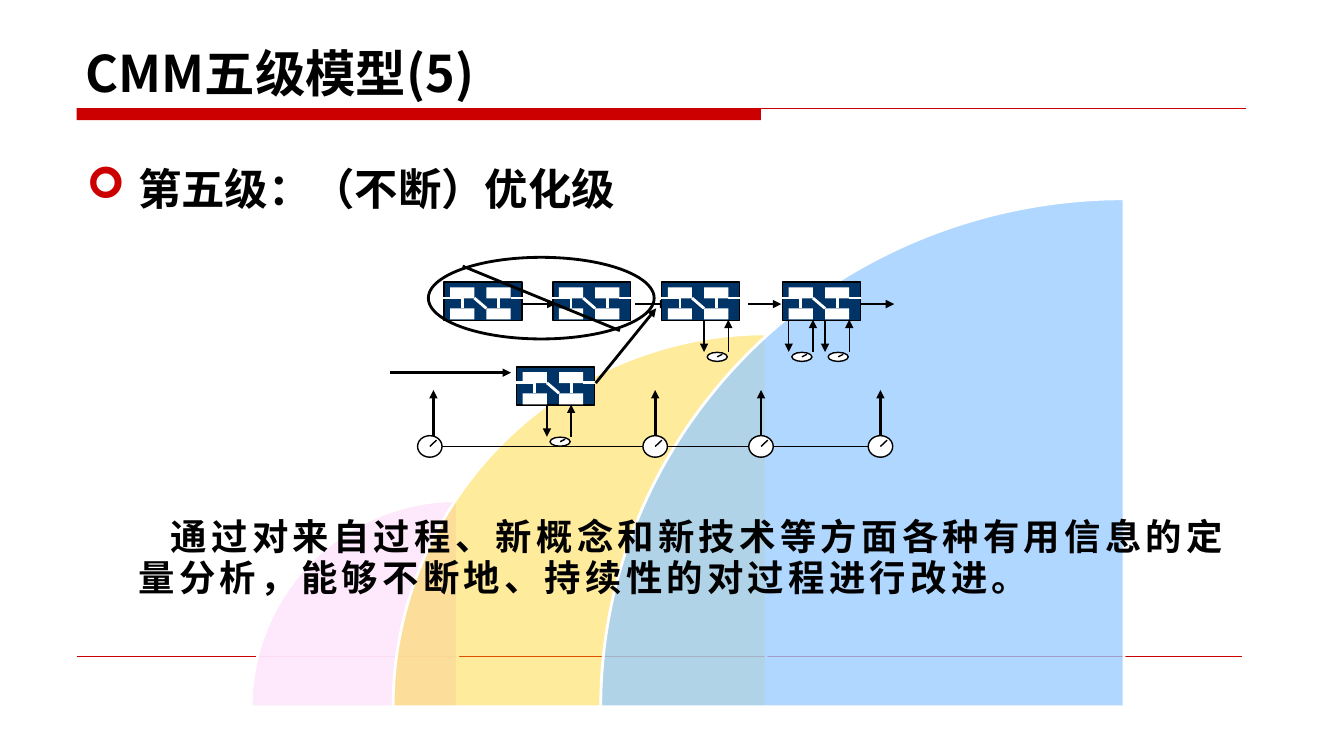
from dataclasses import dataclass
from typing import NamedTuple, Optional

from lxml.etree import SubElement
from pptx import Presentation
from pptx.dml.color import RGBColor as Color
from pptx.enum.shapes import MSO_CONNECTOR as Connector, MSO_SHAPE as Preset
from pptx.enum.text import MSO_ANCHOR as Anchor
from pptx.oxml.ns import qn
from pptx.shapes.autoshape import Shape
from pptx.slide import Slide
from pptx.text.text import _Paragraph as Paragraph
from pptx.util import Pt


@dataclass(frozen=True)
class Theme:
    font: str = "Noto Sans CJK SC"
    bullet_font: str = "Wingdings"
    black: str = "000000"
    white: str = "FFFFFF"
    red: str = "CC0000"
    navy: str = "003366"
    pink: str = "FDE7FC"
    yellow: str = "FFCC00"
    blue: str = "99CCFF"
    title: float = 36
    heading: float = 31
    body: float = 26
    body_tracking: float = 3
    body_leading: float = 29


class Point(NamedTuple):
    x: float
    y: float


class Frame(NamedTuple):
    left: float
    top: float
    width: float
    height: float


class Quadrant(NamedTuple):
    right: float
    width: float
    height: float
    color: str
    opacity: int


class Process(NamedTuple):
    left: float
    top: float
    gauge_offsets: tuple[float, ...] = ()


class Gauge(NamedTuple):
    x: float
    arrow_shift: float = 0


THEME = Theme()
FLOOR = 504.9
QUADRANTS = [
    Quadrant(326.9, 147.4, 147.4, THEME.pink, 95),
    Quadrant(547.2, 266.4, 266.4, THEME.yellow, 39),
    Quadrant(802.8, 373.7, 362.9, THEME.blue, 77),
]
ROW_TOP = 201.4
UNIT = 4.32
PROCESSES = [
    Process(317.2, ROW_TOP),
    Process(394.9, ROW_TOP),
    Process(472.7, ROW_TOP, (7 * UNIT,)),
    Process(559.1, ROW_TOP, (UNIT, 7 * UNIT)),
    Process(369.1, 262, (5 * UNIT,)),
]
GAUGES = [Gauge(307, 2.6), Gauge(468), Gauge(543.6), Gauge(628.9)]
GAUGE_Y = 318.9
FLOW_Y = 217.2


def style(shape: Shape, fill: Optional[str], line: Optional[str] = None, weight: float = 1) -> None:
    shape.shadow.inherit = False
    if fill:
        shape.fill.solid()
        shape.fill.fore_color.rgb = Color.from_string(fill)
    else:
        shape.fill.background()
    if line:
        shape.line.color.rgb = Color.from_string(line)
        shape.line.width = Pt(weight)
    else:
        shape.line.fill.background()


def add_preset(page: Slide, preset: Preset, frame: Frame, fill: Optional[str],
               line: Optional[str] = None, weight: float = 1) -> Shape:
    shape = page.shapes.add_shape(preset, *map(Pt, frame))
    style(shape, fill, line, weight)
    return shape


def add_line(page: Slide, start: Point, end: Point, color: str = THEME.black,
             weight: float = 2, arrow: bool = False) -> None:
    line = page.shapes.add_connector(Connector.STRAIGHT, *map(Pt, (*start, *end)))
    line.line.color.rgb = Color.from_string(color)
    line.line.width = Pt(weight)
    if arrow:
        SubElement(line.line._get_or_add_ln(), qn("a:tailEnd"), type="triangle")
    SubElement(line._element.spPr, qn("a:effectLst"))


def add_quadrant(page: Slide, quadrant: Quadrant) -> None:
    frame = Frame(quadrant.right - quadrant.width, FLOOR - quadrant.height,
                  quadrant.width, quadrant.height)
    wedge = add_preset(page, Preset.PIE_WEDGE, frame, quadrant.color, THEME.white, 2)
    tint = wedge._element.spPr.find(qn("a:solidFill"))[0]
    SubElement(tint, qn("a:alpha"), val=str(quadrant.opacity * 1000))


def add_text(page: Slide, frame: Frame, text: str, size: float,
             anchor: Anchor = Anchor.TOP, tracking: float = 0) -> Paragraph:
    box = page.shapes.add_textbox(*map(Pt, frame))
    text_frame = box.text_frame
    text_frame.word_wrap = True
    text_frame.vertical_anchor = anchor
    text_frame.margin_left = text_frame.margin_right = 0
    text_frame.margin_top = text_frame.margin_bottom = 0
    para = text_frame.paragraphs[0]
    span = para.add_run()
    span.text = text
    span.font.size = Pt(size)
    span.font.bold = True
    span.font.color.rgb = Color.from_string(THEME.black)
    span.font.name = THEME.font
    properties = span._r.get_or_add_rPr()
    SubElement(properties, qn("a:ea"), typeface=THEME.font)
    if tracking:
        properties.set("spc", str(round(tracking * 100)))
    return para


def set_indent(para: Paragraph, margin: float, first: float) -> None:
    properties = para._p.get_or_add_pPr()
    properties.set("marL", str(Pt(margin)))
    properties.set("indent", str(Pt(first)))


def add_bullet(para: Paragraph, symbol: str, color: str) -> None:
    properties = para._p.get_or_add_pPr()
    SubElement(SubElement(properties, qn("a:buClr")), qn("a:srgbClr"), val=color)
    SubElement(properties, qn("a:buFont"), typeface=THEME.bullet_font)
    SubElement(properties, qn("a:buChar"), char=symbol)


def add_dial(page: Slide, center: Point, width: float, height: float, needle: Point) -> None:
    frame = Frame(center.x - width / 2, center.y - height / 2, width, height)
    add_preset(page, Preset.OVAL, frame, THEME.white, THEME.black)
    add_line(page, center, Point(center.x + needle.x, center.y + needle.y), weight=1)


def add_process(page: Slide, process: Process) -> None:
    left, top = process.left, process.top
    add_preset(page, Preset.RECTANGLE, Frame(left, top, 55.6, 27.4), THEME.navy, THEME.black)
    for column in (1, 7):
        for cell_top in (3.8, 18.9):
            cell = Frame(left + column * UNIT, top + cell_top, 4 * UNIT, 7.9)
            add_preset(page, Preset.RECTANGLE, cell, THEME.white)
    upper, lower = top + 11.5, top + 18.9
    for start, start_y, end, end_y in [
        (-1, upper, 3, upper), (3, upper, 3, lower), (5, upper, 7, lower),
        (9, lower, 9, upper), (11, upper, 13, upper),
    ]:
        add_line(page, Point(left + start * UNIT, start_y),
                 Point(left + end * UNIT, end_y), THEME.white)
    for offset in process.gauge_offsets:
        x, near, far = left + offset, top + 27, top + 50
        add_dial(page, Point(x + 9.4, top + 53.5), 14.4, 6.5, Point(3.6, -1.8))
        add_line(page, Point(x, near), Point(x, far), weight=1, arrow=True)
        add_line(page, Point(x + 4 * UNIT, far), Point(x + 4 * UNIT, near), weight=1, arrow=True)


def add_diagram(page: Slide) -> None:
    add_line(page, Point(278.6, 266.2), Point(365, 266.2), arrow=True)
    for index in range(4):
        start = 373 + index * 80.64
        add_line(page, Point(start, FLOW_Y), Point(start + 23.8, FLOW_Y), arrow=True)
    add_line(page, Point(GAUGES[0].x, GAUGE_Y), Point(GAUGES[-1].x, GAUGE_Y), weight=1)
    for gauge in GAUGES:
        x = gauge.x + gauge.arrow_shift
        add_line(page, Point(x, 311.8), Point(x, 278.6), arrow=True)
        add_dial(page, Point(gauge.x, GAUGE_Y), 17.5, 15.4, Point(4.8, -4.5))
    for process in PROCESSES:
        add_process(page, process)
    add_line(page, Point(425.5, 273.6), Point(468.7, 220.3), arrow=True)
    add_preset(page, Preset.OVAL, Frame(306, 183.8, 161.3, 58.3), None, THEME.black, 2)
    add_line(page, Point(330.5, 190.1), Point(442.8, 236.2))


def main() -> None:
    deck = Presentation()
    deck.slide_width, deck.slide_height = Pt(960), Pt(540)
    page = deck.slides.add_slide(deck.slide_layouts[6])
    add_preset(page, Preset.RECTANGLE, Frame(54.7, 77.3, 488.9, 8.6), THEME.red)
    add_line(page, Point(54.7, 77.3), Point(889.9, 77.3), THEME.red, 0.75)
    add_line(page, Point(54.7, 468.4), Point(887, 468.4), THEME.red, 0.25)
    for quadrant in QUADRANTS:
        add_quadrant(page, quadrant)
    add_text(page, Frame(61.2, 20.3, 825.8, 53.3), "CMM五级模型(5)", THEME.title, Anchor.BOTTOM)
    heading = add_text(page, Frame(61.9, 116.1, 825.8, 46), "第五级：（不断）优化级", THEME.heading)
    set_indent(heading, 36.7, -36.7)
    add_bullet(heading, "➢", THEME.red)
    body = add_text(page, Frame(99.1, 369.7, 788.7, 60),
                    "通过对来自过程、新概念和新技术等方面各种有用信息的定量分析，能够不断地、持续性的对过程进行改进。",
                    THEME.body, tracking=THEME.body_tracking)
    set_indent(body, 0, 23)
    body.line_spacing = Pt(THEME.body_leading)
    add_diagram(page)
    deck.save("out.pptx")


if __name__ == "__main__":
    main()
